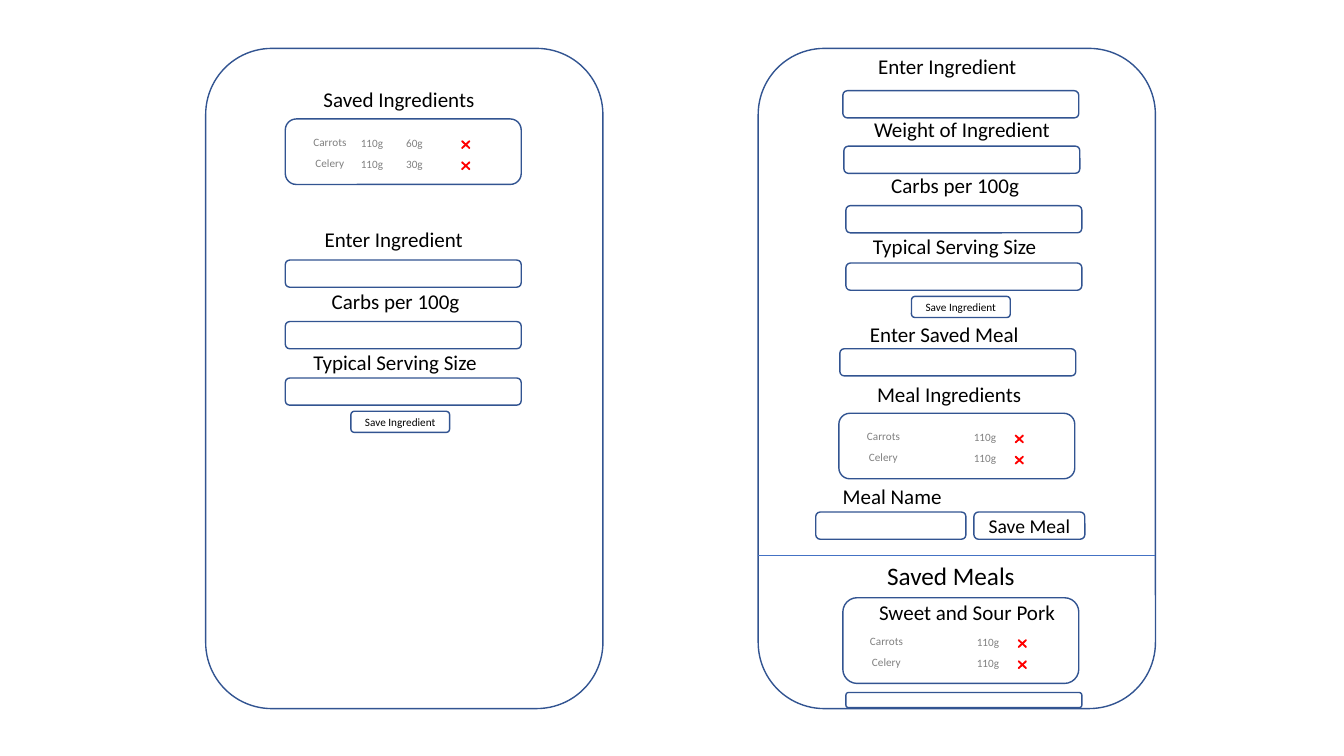
import pptx
import pptx.util
import pptx.dml.color
import pptx.enum.shapes
import pptx.enum.text
import lxml.etree
from dataclasses import dataclass

Inches = pptx.util.Inches
SHAPE = pptx.enum.shapes.MSO_SHAPE


@dataclass(frozen=True)
class Theme:
    font: str = "Calibri"
    white: str = "FFFFFF"
    black: str = "000000"
    grey: str = "808080"
    outline: str = "325491"
    divider: str = "4472C4"
    red: str = "FF0000"
    small: int = 8
    button: int = 14
    label: int = 15
    heading: int = 18


T = Theme()


def rgb(value):
    return pptx.dml.color.RGBColor.from_string(value)


def write(tf, text, size, color):
    p = tf.paragraphs[0]
    p.text = text
    font = p.runs[0].font
    font.name, font.size = T.font, pptx.util.Pt(size)
    font.color.rgb = rgb(color)
    return p


def add_label(s, text, x, y, w, h=0.35, size=T.label, color=T.black):
    tf = s.shapes.add_textbox(Inches(x), Inches(y), Inches(w), Inches(h)).text_frame
    tf.word_wrap = True
    write(tf, text, size, color)


def add_outlined(s, kind, x, y, w, h, fill=T.white, line=T.outline):
    sp = s.shapes.add_shape(kind, Inches(x), Inches(y), Inches(w), Inches(h))
    sp.shadow.inherit = False
    sp.fill.solid()
    sp.fill.fore_color.rgb = rgb(fill)
    sp.line.color.rgb = rgb(line)
    sp.line.width = pptx.util.Pt(1)
    return sp


def add_box(s, x, y, w=2.34, h=0.27):
    return add_outlined(s, SHAPE.ROUNDED_RECTANGLE, x, y, w, h)


def add_button(s, text, x, y, w=0.98, h=0.21, size=T.small):
    tf = add_box(s, x, y, w, h).text_frame
    tf.margin_left = tf.margin_right = tf.margin_top = tf.margin_bottom = 0
    tf.vertical_anchor = pptx.enum.text.MSO_ANCHOR.MIDDLE
    p = write(tf, text, size, T.black)
    p.alignment = pptx.enum.text.PP_ALIGN.CENTER


def add_ingredients(s, x, y, rows, columns):
    """Rows of name and amounts, each ending in a red delete cross."""
    for i, (name, *amounts) in enumerate(rows):
        top = y + 0.21 * i
        add_label(s, name, x + 0.02 * i, top, 1.17, 0.24, T.small, T.grey)
        for amount, dx in zip(amounts, columns):
            add_label(s, amount, x + dx, top + 0.01, 0.46, 0.24, T.small, T.grey)
        cross = add_outlined(s, SHAPE.MATH_MULTIPLY, x + 1.54, top + 0.08,
                             0.14, 0.13, T.red, T.red)
        cross.adjustments[0] = 0.037


def add_divider(s, x, y, w):
    line = s.shapes.add_connector(pptx.enum.shapes.MSO_CONNECTOR.STRAIGHT,
                                  Inches(x), Inches(y), Inches(x + w), Inches(y))
    line.line.color.rgb = rgb(T.divider)
    line.line.width = pptx.util.Pt(0.5)
    lxml.etree.SubElement(line.line._get_or_add_ln().getparent(),
                          pptx.oxml.ns.qn("a:effectLst"))


def add_fields(s, fields):
    for text, x, y, w, box_x, box_y in fields:
        add_box(s, box_x, box_y)
        add_label(s, text, x, y, w)


def ingredients_screen(s):
    add_box(s, 2.04, 0.48, 3.94, 6.55)

    # Saved ingredients
    add_box(s, 2.83, 1.18, h=0.65)
    add_label(s, "Saved Ingredients", 3.11, 0.81, 1.98)
    rows = [("Carrots", "110g", "60g"), ("Celery", "110g", "30g")]
    add_ingredients(s, 3.01, 1.29, rows, (0.47, 0.92))

    # New ingredient form
    add_fields(s, [
        ("Enter Ingredient", 3.12, 2.2, 1.89, 2.83, 2.58),
        ("Carbs per 100g", 3.19, 2.81, 1.49, 2.83, 3.19),
        ("Typical Serving Size", 3.01, 3.42, 1.88, 2.83, 3.75),
    ])
    add_button(s, "Save Ingredient", 3.48, 4.08)


def meals_screen(s):
    add_box(s, 7.52, 0.48, 3.94, 6.55)
    rows = [("Carrots", "110g"), ("Celery", "110g")]

    # Ingredient and meal forms
    add_fields(s, [
        ("Enter Ingredient", 8.61, 0.48, 1.89, 8.36, 0.9),
        ("Weight of Ingredient", 8.57, 1.11, 2.02, 8.37, 1.45),
        ("Carbs per 100g", 8.74, 1.66, 1.49, 8.39, 2.04),
        ("Typical Serving Size", 8.56, 2.27, 1.88, 8.39, 2.61),
        ("Enter Saved Meal", 8.53, 3.14, 2.03, 8.33, 3.46),
    ])
    add_button(s, "Save Ingredient", 9.04, 2.94)

    # Meal ingredients
    add_box(s, 8.32, 4.1, h=0.65)
    add_label(s, "Meal Ingredients", 8.6, 3.74, 1.98)
    add_ingredients(s, 8.5, 4.21, rows, (1.06,))
    add_label(s, "Meal Name", 8.26, 4.75, 1.64)
    add_box(s, 8.09, 5.08, 1.49)
    add_button(s, "Save Meal", 9.66, 5.08, 1.1, 0.27, T.button)

    # Saved meals
    add_divider(s, 7.52, 5.51, 3.94)
    add_label(s, "Saved Meals", 8.7, 5.51, 2.22, 0.4, T.heading)
    add_box(s, 8.36, 5.93, h=0.85)
    add_label(s, "Sweet and Sour Pork", 8.62, 5.9, 1.98)
    add_ingredients(s, 8.53, 6.24, rows, (1.06,))
    add_box(s, 8.39, 6.87, h=0.15)


def main():
    prs = pptx.Presentation()
    prs.slide_width, prs.slide_height = Inches(13.33), Inches(7.5)
    s = prs.slides.add_slide(prs.slide_layouts[6])
    meals_screen(s)
    ingredients_screen(s)
    prs.save("out.pptx")


if __name__ == "__main__":
    main()
